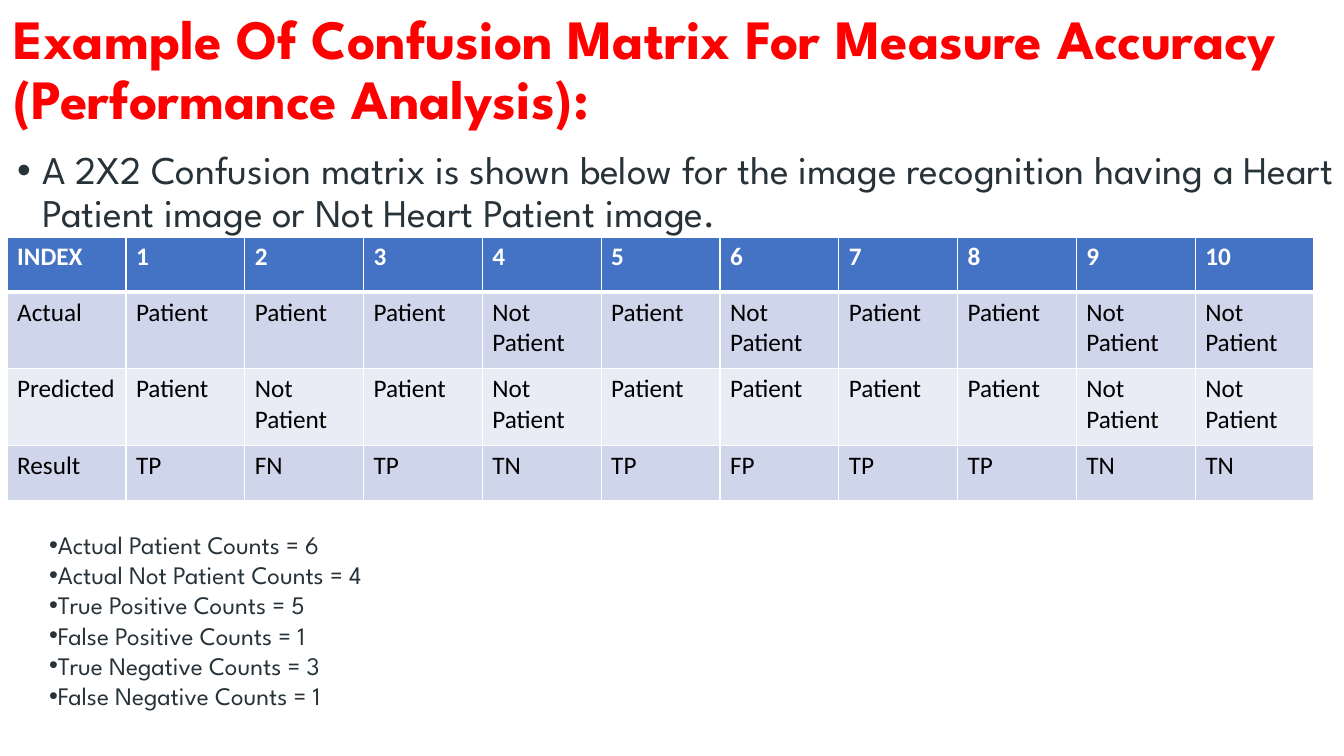
import pptx
import pptx.util
import pptx.dml.color
import pptx.enum.text
import pptx.oxml
import pptx.oxml.ns

Cm = pptx.util.Cm
Pt = pptx.util.Pt
qn = pptx.oxml.ns.qn

TITLE = "Example Of Confusion Matrix For Measure Accuracy (Performance Analysis):"
INTRO = ("A 2X2 Confusion matrix is shown below for the image recognition "
         "having a Heart Patient image or Not Heart Patient image.")
YES, NO = "Patient", "Not Patient"
MATRIX = [
    ["INDEX"] + [str(n) for n in range(1, 11)],
    ["Actual", YES, YES, YES, NO, YES, NO, YES, YES, NO, NO],
    ["Predicted", YES, NO, YES, NO, YES, YES, YES, YES, NO, NO],
    ["Result", "TP", "FN", "TP", "TN", "TP", "FP", "TP", "TP", "TN", "TN"],
]
COUNTS = [
    "Actual Patient Counts = 6\u00a0".strip(),
    "Actual Not Patient Counts = 4",
    "True Positive Counts = 5",
    "False Positive Counts = 1",
    "True Negative Counts = 3",
    "False Negative Counts = 1",
]
COUNTS = [line.strip() for line in COUNTS]

# Boxes are left, top, width, height in cm
BOXES = {
    "title": (0.1, 0.25, 33.68, 3.12),
    "intro": (0.18, 3.68, 33.68, 2.29),
    "table": (0.18, 5.97, 32.94, 6.64),
    "counts": (0.99, 13.21, 17.42, 4.88),
}
ROWS = (1.39, 1.93, 1.93, 1.39)

THEME = {
    "title": {"name": "League Spartan", "size": 39.6, "bold": True, "color": "FF0000"},
    "intro": {"name": "League Spartan", "size": 28, "bold": False, "color": "273239"},
    "counts": {"name": "League Spartan", "size": 18, "bold": False, "color": "273239"},
    "head": {"name": "Calibri", "size": 18, "bold": True, "color": "FFFFFF"},
    "cell": {"name": "Calibri", "size": 18, "bold": False, "color": "000000"},
    "fills": ("4472C4", "CFD5EA", "E9EBF5", "CFD5EA"),
    "rule": "FFFFFF",
}


def tint(code):
    """Turn a hex code into a colour."""
    return pptx.dml.color.RGBColor.from_string(code)


def style(run, key):
    look = dict(THEME[key])
    run.font.color.rgb = tint(look.pop("color"))
    look["size"] = Pt(look["size"])
    for name, value in look.items():
        setattr(run.font, name, value)


def bullet(para, indent=0):
    """Add a round bullet with a hanging indent in cm."""
    props = para._p.get_or_add_pPr()
    props.set("marL", str(Cm(indent)))
    props.set("indent", str(-Cm(indent)))
    for tag, name, value in (("a:buFont", "typeface", "Arial"), ("a:buChar", "char", "•")):
        pptx.oxml.ns.nsdecls("a")
        mark = props.makeelement(qn(tag), {name: value})
        props.append(mark)


def write(slide, key, lines, form, indent=None):
    """Add a text box with one paragraph per line."""
    box = slide.shapes.add_textbox(*map(Cm, BOXES[key]))
    frame = box.text_frame
    frame.word_wrap = True
    for i, line in enumerate(lines):
        para = frame.paragraphs[0] if i == 0 else frame.add_paragraph()
        for name, value in form.items():
            setattr(para, name, value)
        run = para.add_run()
        run.text = line
        style(run, key)
        if indent is not None:
            bullet(para, indent)
    return frame


def edge(cell, widths):
    """Draw the left, right, top and bottom borders, in points."""
    props = cell._tc.get_or_add_tcPr()
    for i, (side, width) in enumerate(zip("LRTB", widths)):
        line = pptx.oxml.parse_xml(
            f'<a:ln{side} {pptx.oxml.ns.nsdecls("a")} w="{Pt(width)}"><a:solidFill>'
            f'<a:srgbClr val="{THEME["rule"]}"/></a:solidFill></a:ln{side}>')
        props.insert(i, line)


def grid(slide):
    """Add the matrix table."""
    box = BOXES["table"]
    cols = len(MATRIX[0])
    table = slide.shapes.add_table(len(MATRIX), cols, *map(Cm, box)).table
    for col in table.columns:
        col.width = Cm(box[2] / cols)
    for r, (words, high) in enumerate(zip(MATRIX, ROWS)):
        table.rows[r].height = Cm(high)
        for c, word in enumerate(words):
            cell = table.cell(r, c)
            cell.fill.solid()
            cell.fill.fore_color.rgb = tint(THEME["fills"][r])
            run = cell.text_frame.paragraphs[0].add_run()
            run.text = word
            style(run, "cell" if r else "head")
            edge(cell, (1, 1, 3 if r == 1 else 1, 1 if r else 3))


def main():
    deck = pptx.Presentation()
    deck.slide_width, deck.slide_height = Cm(33.87), Cm(19.05)
    slide = deck.slides.add_slide(deck.slide_layouts[6])
    title = write(slide, "title", [TITLE], {"line_spacing": 0.9})
    title.vertical_anchor = pptx.enum.text.MSO_ANCHOR.MIDDLE
    write(slide, "intro", [INTRO], {"line_spacing": 0.9, "space_before": Pt(10)}, 0.64)
    grid(slide)
    write(slide, "counts", COUNTS, {}, 0)
    deck.save("out.pptx")


if __name__ == "__main__":
    main()
